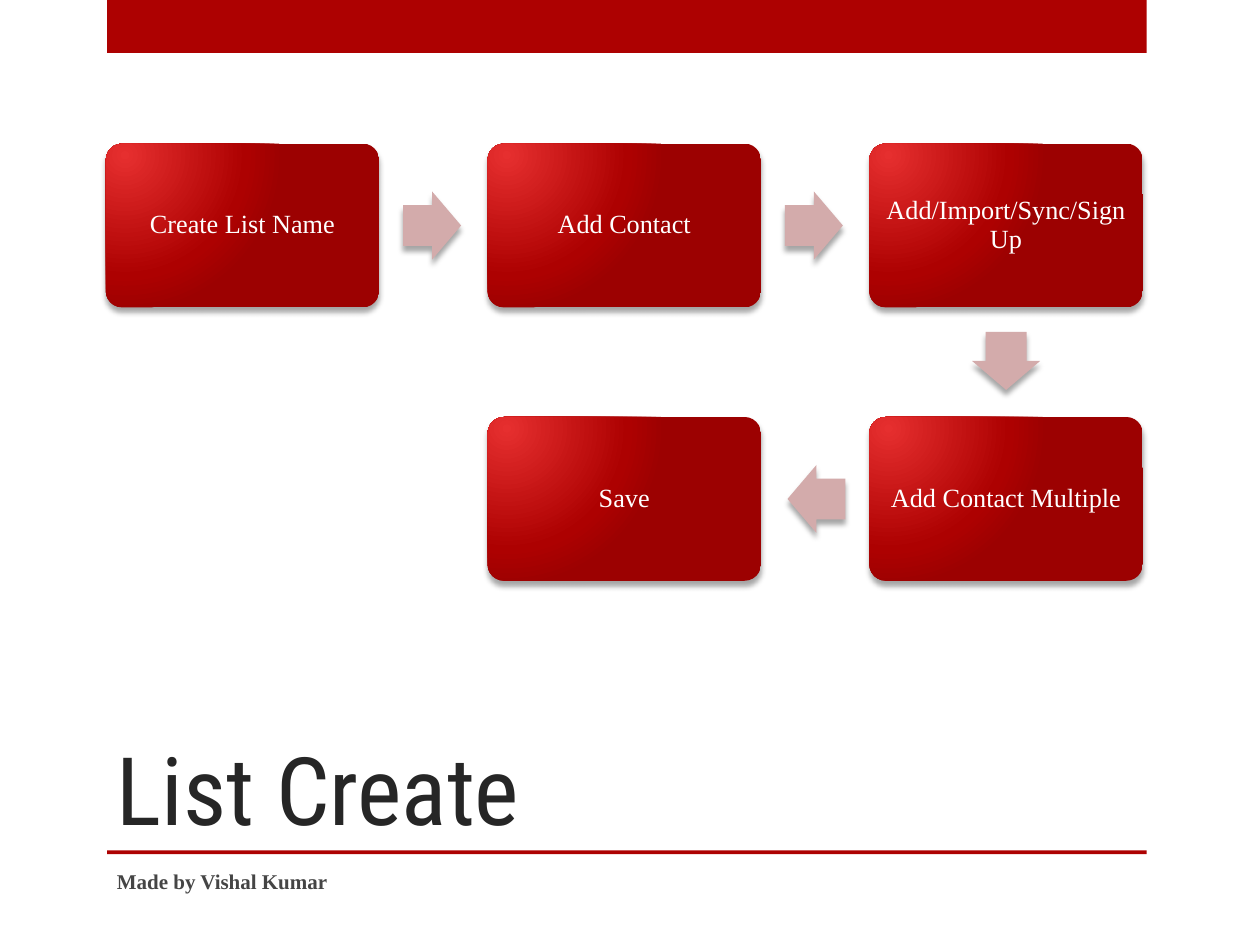
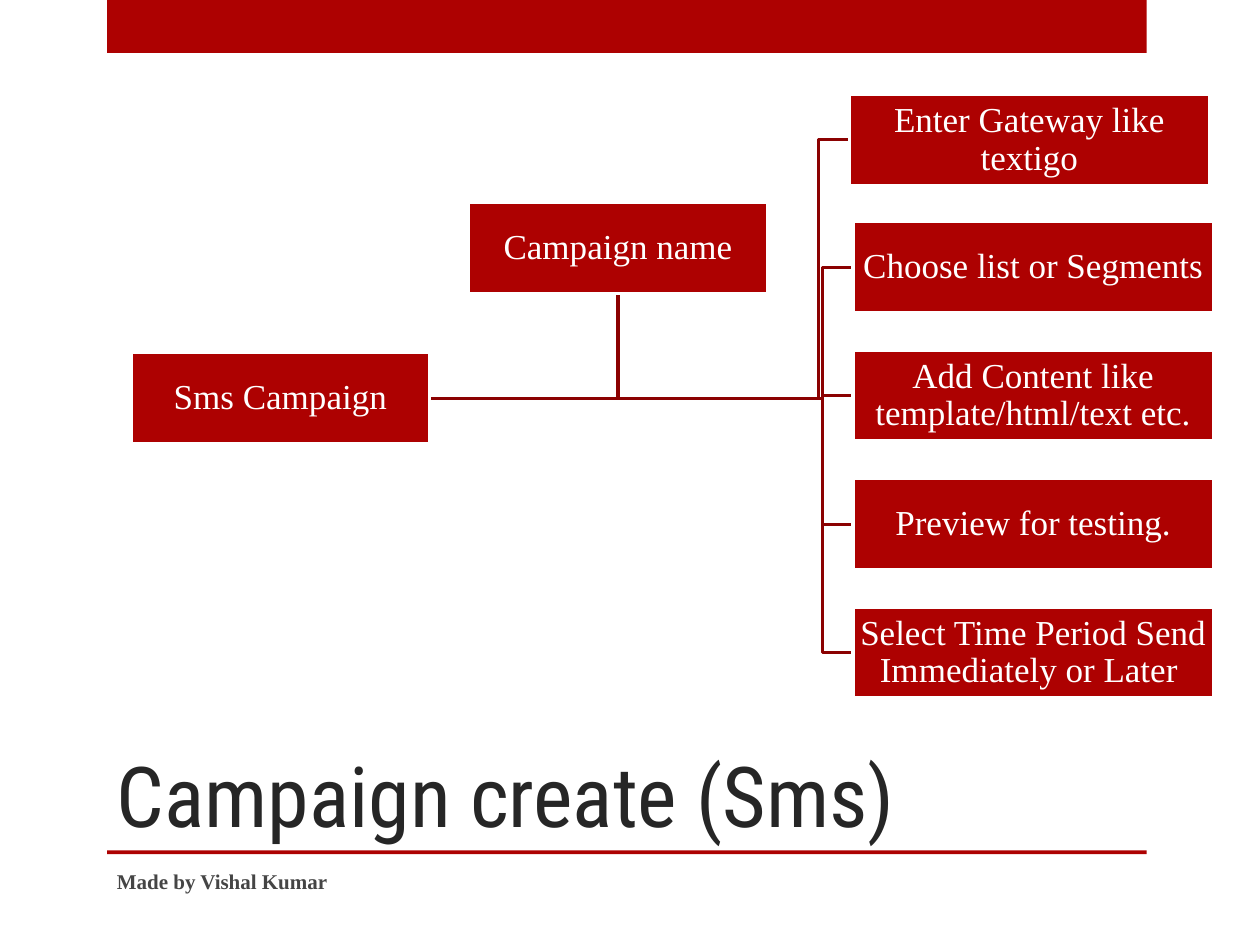
"""Build two process slides: creating a list and creating an SMS campaign."""
import math

from lxml import etree
from pptx import Presentation
from pptx import util as u
from pptx.dml import color
from pptx.enum import shapes, text
from pptx.oxml import ns

COLORS = {
    "band": "AD0101", "title": "262626", "footer": "454545", "white": "FFFFFF",
    "glow": "E62F2F", "shade": "9C0101", "arrow": "D3ABAB", "branch": "8B0101",
    "shadow": "000000",
}
BODY_FONT, TITLE_FONT = "Times New Roman", "Roboto Condensed"
FOOTER = "Made by Vishal Kumar"
BANDS = [(0.85, 0, 8.25, 0.42), (0.85, 6.75, 8.25, 0.03)]

LIST_TITLE = ("List Create", 54)
LIST_STEPS = [
    ("Create List Name", 0, 0),
    ("Add Contact", 1, 0),
    ("Add/Import/Sync/Sign Up", 2, 0),
    ("Add Contact Multiple", 2, 1),
    ("Save", 1, 1),
]
STEP_ORIGIN, STEP_PITCH, STEP_SIZE = (0.84, 1.14), (3.03, 2.17), (2.17, 1.3)
ARROW_SIZE, ARROW_SETBACK = (0.46, 0.54), 0.01

CAMPAIGN_TITLE = ("Campaign create (Sms)", 48)
ROOT = ("Sms Campaign", 1.04, 2.8)
ASSISTANT = ("Campaign name", 3.72, 1.61)
FIRST_LEAF = ("Enter Gateway like textigo", 6.74, 0.75)
OTHER_LEAVES = [
    "Choose list or Segments",
    "Add Content like template/html/text etc.",
    "Preview for testing.",
    "Select Time Period Send Immediately or Later ",
]
LEAF_LEFT, LEAF_TOP, LEAF_PITCH = 6.77, 1.76, 1.02
NODE_WIDTH, LEAF_WIDTH, NODE_HEIGHT, BEND_GAP = 2.37, 2.86, 0.72, 0.24
BRANCH_WIDTH = 1.75


def rgb(name):
    return color.RGBColor.from_string(COLORS[name])


def write(shape, words, size, ink="white", font=BODY_FONT, bold=False,
          anchor="MIDDLE", align="CENTER", inset=None, spacing=0.9):
    frame = shape.text_frame
    frame.word_wrap = True
    frame.vertical_anchor = text.MSO_ANCHOR[anchor]
    if inset is not None:
        for side in ("left", "top", "right", "bottom"):
            setattr(frame, f"margin_{side}", u.Inches(inset))
    para = frame.paragraphs[0]
    para.alignment = text.PP_ALIGN[align]
    para.line_spacing = spacing
    span = para.add_run()
    span.text = words
    for name, value in {"size": u.Pt(size), "name": font, "bold": bold}.items():
        setattr(span.font, name, value)
    span.font.color.rgb = rgb(ink)


def outline(shape, name):
    shape.line.color.rgb = rgb(name)
    shape.line.width = u.Pt(BRANCH_WIDTH)


def add_shape(page, kind, at, fill="band"):
    shape = page.shapes.add_shape(shapes.MSO_SHAPE[kind], *map(u.Inches, at))
    shape.shadow.inherit = False
    shape.fill.solid()
    shape.fill.fore_color.rgb = rgb(fill)
    shape.line.fill.background()
    return shape


def add_words(page, at, words, size, **style):
    box = page.shapes.add_textbox(*map(u.Inches, at))
    write(box, words, size, align="LEFT", spacing=1.0, **style)


def add_page(deck, title, size):
    page = deck.slides.add_slide(deck.slide_layouts[6])
    for band in BANDS:
        add_shape(page, "RECTANGLE", band)
    add_words(page, (0.83, 5, 7.42, 1.75), title, size,
              ink="title", font=TITLE_FONT, anchor="BOTTOM")
    add_words(page, (0.83, 6.79, 5.33, 0.4), FOOTER, 12, ink="footer", bold=True)
    return page


def add_node(parent, tag, **attributes):
    return etree.SubElement(parent, ns.qn(tag), attributes)


def cast_shadow(shape):
    effects = shape.element.spPr.find(ns.qn("a:effectLst"))
    shadow = add_node(effects, "a:outerShdw", blurRad=str(u.Pt(3)), dist=str(u.Pt(3)),
                      dir="5400000", rotWithShape="0")
    tint = add_node(shadow, "a:srgbClr", val=COLORS["shadow"])
    add_node(tint, "a:alpha", val="35000")


def glow_from_corner(shape):
    solid = shape.element.spPr.find(ns.qn("a:solidFill"))
    gradient = etree.Element(ns.qn("a:gradFill"), rotWithShape="1")
    stops = add_node(gradient, "a:gsLst")
    for percent, name in ((0, "glow"), (76, "band"), (100, "shade")):
        stop = add_node(stops, "a:gs", pos=str(percent * 1000))
        add_node(stop, "a:srgbClr", val=COLORS[name])
    circle = add_node(gradient, "a:path", path="circle")
    add_node(circle, "a:fillToRect", l="15000", t="15000", r="100000", b="100000")
    solid.getparent().replace(solid, gradient)


def add_step(page, words, column, row):
    corner = [start + pitch * index for start, pitch, index
              in zip(STEP_ORIGIN, STEP_PITCH, (column, row))]
    step = add_shape(page, "ROUNDED_RECTANGLE", (*corner, *STEP_SIZE))
    step.adjustments[0] = 0.1
    glow_from_corner(step)
    cast_shadow(step)
    write(step, words, 15, inset=0.06)
    return [edge + length / 2 for edge, length in zip(corner, STEP_SIZE)]


def add_step_arrow(page, start, end):
    angle = math.atan2(end[1] - start[1], end[0] - start[0])
    heading = (math.cos(angle), math.sin(angle))
    corner = [(a + b) / 2 - ARROW_SETBACK * way - length / 2
              for a, b, way, length in zip(start, end, heading, ARROW_SIZE)]
    arrow = add_shape(page, "RIGHT_ARROW", (*corner, *ARROW_SIZE), "arrow")
    arrow.adjustments[0], arrow.adjustments[1] = 0.6, 0.5
    arrow.rotation = math.degrees(angle)
    cast_shadow(arrow)


def add_branch(page, points):
    corners = [tuple(map(u.Inches, point)) for point in points]
    builder = page.shapes.build_freeform(*corners[0], scale=1.0)
    builder.add_line_segments(corners[1:], close=False)
    branch = builder.convert_to_shape()
    branch.shadow.inherit = False
    branch.fill.background()
    outline(branch, "branch")


def build_list_page(deck):
    page = add_page(deck, *LIST_TITLE)
    centers = [add_step(page, *step) for step in LIST_STEPS]
    for start, end in zip(centers, centers[1:]):
        add_step_arrow(page, start, end)


def build_campaign_page(deck):
    page = add_page(deck, *CAMPAIGN_TITLE)
    leaves = [FIRST_LEAF] + [(words, LEAF_LEFT, LEAF_TOP + LEAF_PITCH * index)
                             for index, words in enumerate(OTHER_LEAVES)]
    trunk = (ROOT[1] + NODE_WIDTH, ROOT[2] + NODE_HEIGHT / 2)
    middle = ASSISTANT[1] + NODE_WIDTH / 2
    add_branch(page, [trunk, (middle, trunk[1]), (middle, ASSISTANT[2] + NODE_HEIGHT)])
    for _, left, top in leaves:
        bend, height = left - BEND_GAP, top + NODE_HEIGHT / 2
        add_branch(page, [trunk, (bend, trunk[1]), (bend, height), (left, height)])
    nodes = [(*node, NODE_WIDTH) for node in (ROOT, ASSISTANT)]
    nodes += [(*leaf, LEAF_WIDTH) for leaf in leaves]
    for words, left, top, width in nodes:
        node = add_shape(page, "RECTANGLE", (left, top, width, NODE_HEIGHT))
        outline(node, "white")
        write(node, words, 20, inset=0.01)


def main():
    deck = Presentation()
    deck.slide_width, deck.slide_height = u.Inches(10), u.Inches(7.5)
    build_list_page(deck)
    build_campaign_page(deck)
    deck.save("out.pptx")


if __name__ == "__main__":
    main()
